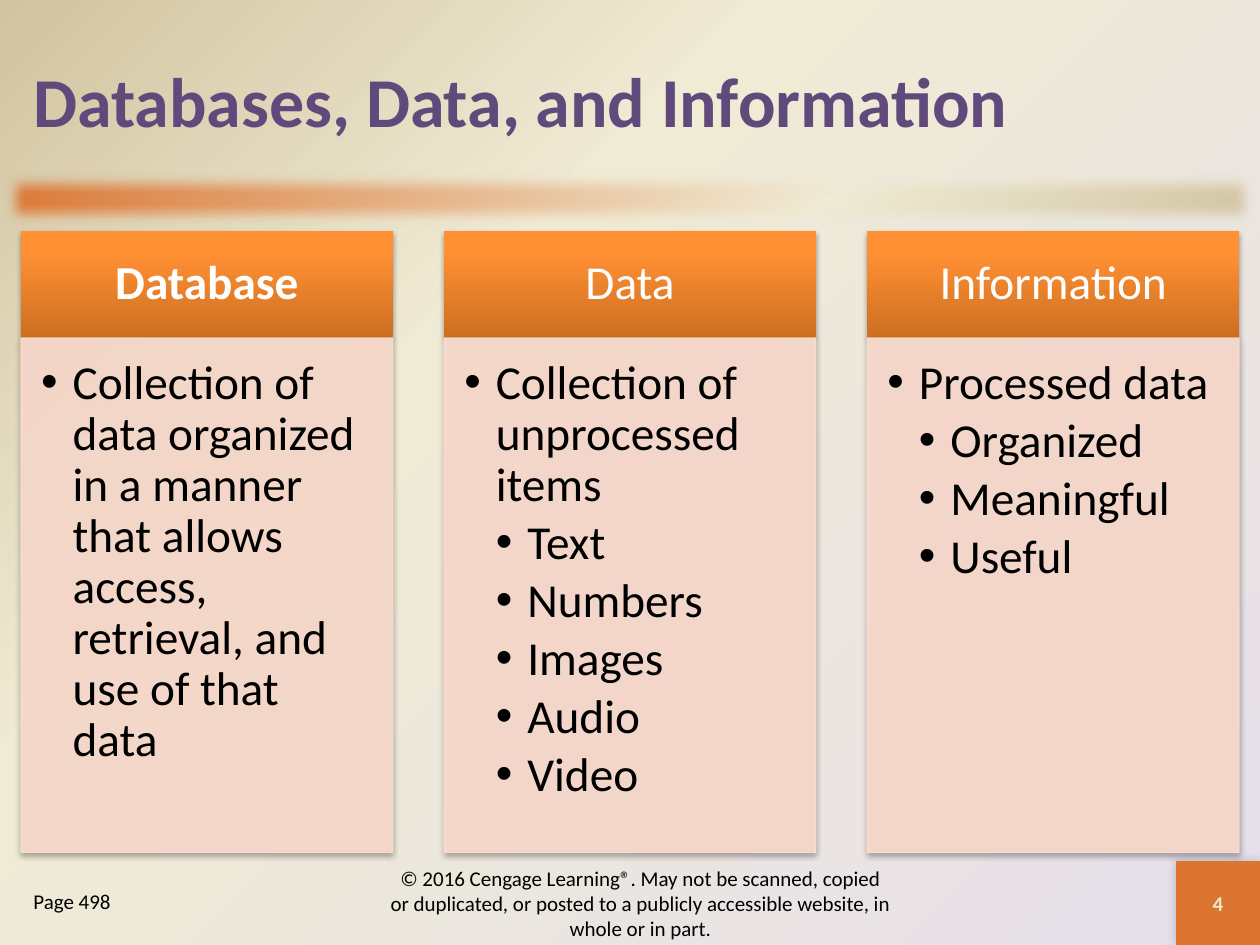
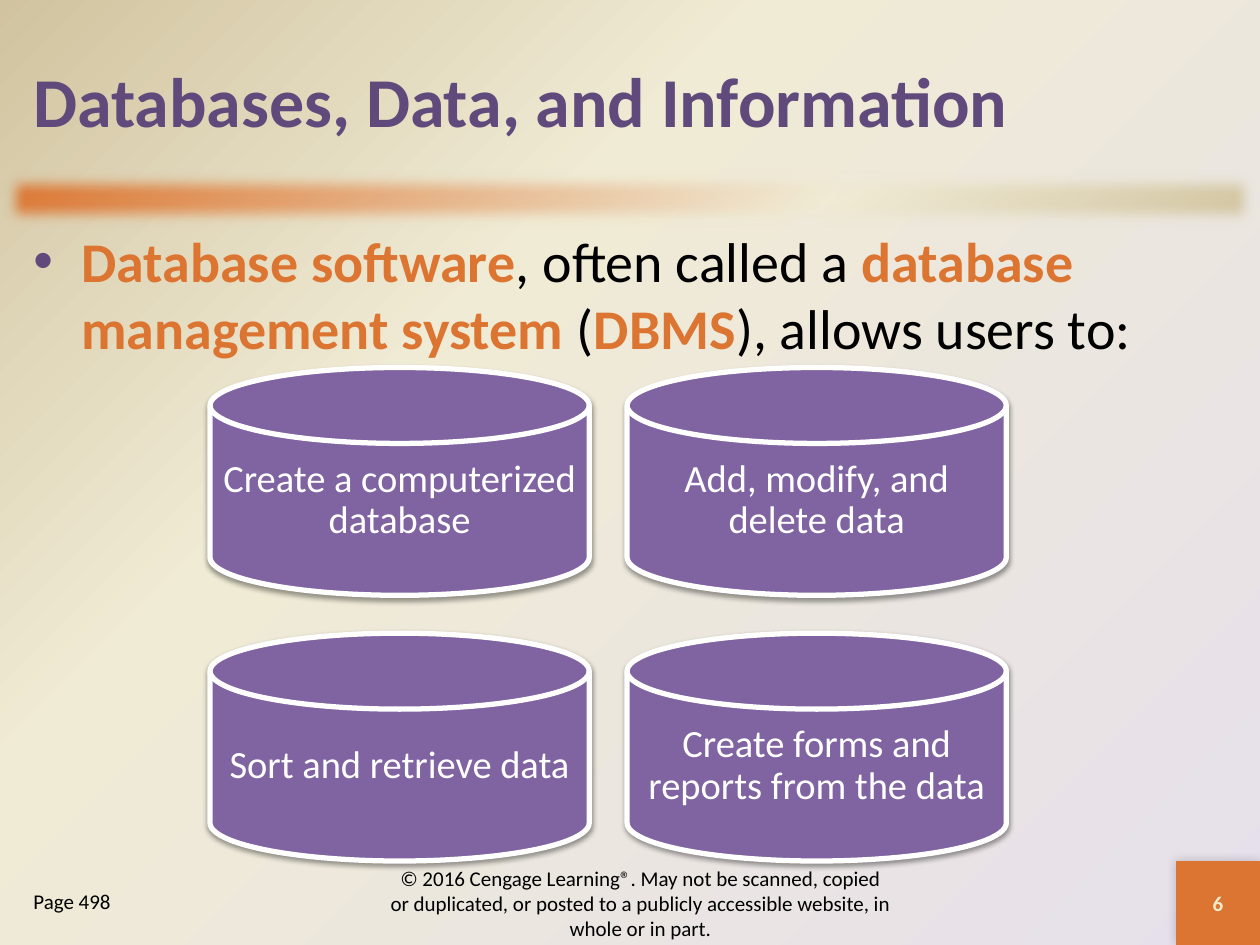
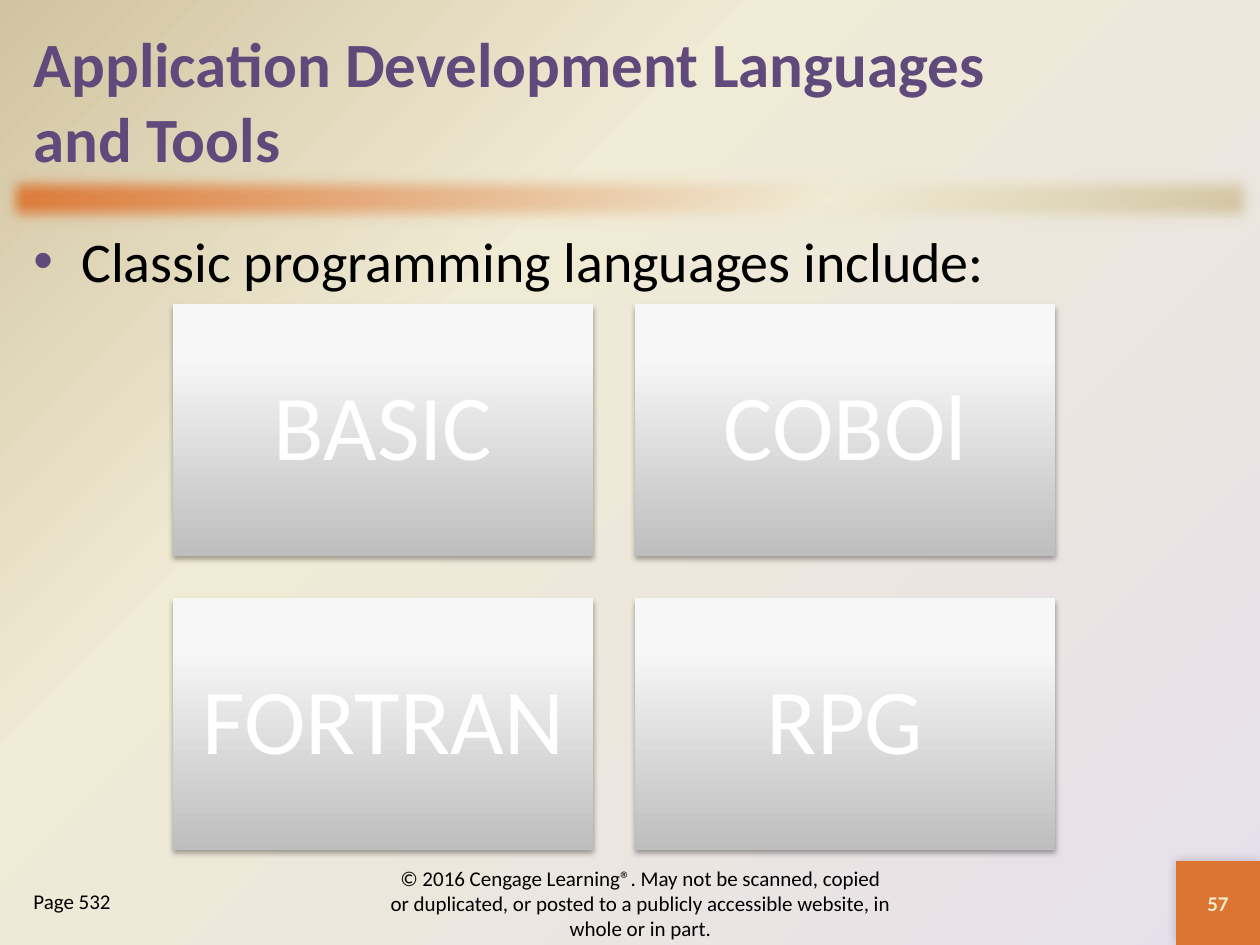
from dataclasses import dataclass

from pptx import Presentation
from pptx.dml.color import RGBColor as Rgb
from pptx.enum.shapes import MSO_SHAPE as Shape
from pptx.enum.text import MSO_ANCHOR as Anchor, PP_ALIGN as Align
from pptx.oxml import parse_xml
from pptx.oxml.ns import nsdecls, qn
from pptx.util import Emu, Inches, Pt

COLUMNS, ROWS = 60, 45


@dataclass(frozen=True)
class Theme:
    font: str = "Calibri"
    # Colours
    title: str = "604A7B"
    ink: str = "000000"
    white: str = "FFFFFF"
    accent: str = "DB7531"
    number: str = "EEEBCA"
    panel: str = "FCDDCF"
    disk: str = "8064A2"
    # Gradients: (position in percent, colour)
    backdrop: tuple = ((0, "E6E0EC"), (65, "F0EBD5"), (100, "D1C39F"))
    band: tuple = ((0, "DB7531"), (65, "F0EBD5"), (100, "D1C39F"))
    orange: tuple = ((0, "CC6E20"), (80, "FF9034"), (100, "FF9136"))
    silver: tuple = ((0, "BEBEBE"), (80, "F7F7F7"), (100, "F8F8F8"))
    # Shadows: alpha percent, blur pt, distance pt, angle
    corner_shadow: tuple = (20, 6, 0, 225)
    box_shadow: tuple = (35, 3.1, 1.8, 90)
    disk_shadow: tuple = (38, 3.1, 1.6, 90)
    # Type sizes
    title_size: int = 40
    long_title_size: int = 36
    lead_size: int = 32
    panel_size: int = 27
    disk_size: int = 22
    tile_size: int = 53
    small_size: int = 12


THEME = Theme()
COPYRIGHT = ("© 2016 Cengage Learning®. May not be scanned, copied or duplicated, "
             "or posted to a publicly accessible website, in whole or in part.")


def element(xml):
    """Build one drawing element from a tag with its attributes and children."""
    tag, rest = xml[1:].split(" ", 1)
    return parse_xml(f"<{tag} {nsdecls('a')} {rest}")


def gradient(stops, direction):
    marks = "".join(f'<a:gs pos="{pos * 1000}"><a:srgbClr val="{colour}"/></a:gs>'
                    for pos, colour in stops)
    return element(f'<a:gradFill rotWithShape="1"><a:gsLst>{marks}</a:gsLst>'
                   f'{direction}</a:gradFill>')


def use_gradient(holder, stops, direction):
    solid = holder.find(qn("a:solidFill"))
    holder.replace(solid, gradient(stops, direction))


class Deck:
    def __init__(self, theme):
        self.theme = theme
        self.prs = Presentation()
        self.prs.slide_width, self.prs.slide_height = Inches(10), Inches(7.5)
        self.slide = None

    def place(self, left, top, width, height):
        """Turn grid columns and rows into slide lengths."""
        across, down = self.prs.slide_width / COLUMNS, self.prs.slide_height / ROWS
        return [Emu(round(cells * unit)) for cells, unit in
                ((left, across), (top, down), (width, across), (height, down))]

    def new_slide(self, title, number, page, title_size=THEME.title_size):
        look = self.theme
        self.slide = self.prs.slides.add_slide(self.prs.slide_layouts[6])
        # Background
        self.slide.background.fill.solid()
        use_gradient(self.slide.element.find(".//" + qn("p:bgPr")), look.backdrop,
                     '<a:path path="circle"><a:fillToRect l="100000" t="100000"/></a:path>')
        # Soft band below the title
        band = self.block(Shape.RECTANGLE, (0, 8, 60, 3), stops=look.band, angle=45)
        self.effect(band, '<a:softEdge rad="112500"/>')
        # Slide number in the corner
        corner = self.block(Shape.RECTANGLE, (56, 41, 4, 4), look.accent,
                            shadow=look.corner_shadow)
        self.fill_text(corner, [number], look.small_size, look.number, bold=True,
                       align=Align.CENTER, anchor=Anchor.MIDDLE)
        # Title and footer
        self.text((1, 1, 58, 7.5), [title], title_size, look.title, bold=True,
                  anchor=Anchor.MIDDLE)
        self.text((18, 41.5, 25, 3), [COPYRIGHT], look.small_size, look.ink,
                  align=Align.CENTER, anchor=Anchor.MIDDLE)
        self.text((1, 42, 11, 3), [page], look.small_size, look.ink)

    def effect(self, shape, xml):
        shape.element.spPr.find(qn("a:effectLst")).append(element(xml))

    def block(self, kind, cells, colour=None, stops=None, angle=270, shadow=None,
              outline=None, outline_width=0.75, opacity=None):
        shape = self.slide.shapes.add_shape(kind, *self.place(*cells))
        shape.shadow.inherit = False
        shape.fill.solid()
        if stops:
            use_gradient(shape.element.spPr, stops,
                         f'<a:lin ang="{angle * 60000}" scaled="0"/>')
        else:
            shape.fill.fore_color.rgb = Rgb.from_string(colour)
        if outline:
            shape.line.color.rgb = Rgb.from_string(outline)
            shape.line.width = Pt(outline_width)
        else:
            shape.line.fill.background()
        if opacity:
            for tint in shape.element.spPr.iter(qn("a:srgbClr")):
                tint.append(element(f'<a:alpha val="{opacity * 1000}"/>'))
        if shadow:
            alpha, blur, distance, turn = shadow
            self.effect(shape, f'<a:outerShdw blurRad="{Pt(blur)}" dist="{Pt(distance)}" '
                               f'dir="{turn * 60000}" rotWithShape="0">'
                               f'<a:srgbClr val="{self.theme.ink}">'
                               f'<a:alpha val="{alpha * 1000}"/></a:srgbClr></a:outerShdw>')
        return shape

    def text(self, cells, lines, size, colour, **style):
        return self.fill_text(self.slide.shapes.add_textbox(*self.place(*cells)),
                              lines, size, colour, **style)

    def fill_text(self, shape, lines, size, colour, bold=False, align=Align.LEFT,
                  anchor=Anchor.TOP, insets=(0.1, 0.05, 0.1, 0.05), spacing=None):
        frame = shape.text_frame
        frame.word_wrap = True
        frame.vertical_anchor = anchor
        (frame.margin_left, frame.margin_top,
         frame.margin_right, frame.margin_bottom) = map(Inches, insets)
        frame.text = "\n".join(lines)
        for paragraph in frame.paragraphs:
            paragraph.alignment = align
            if spacing:
                paragraph.line_spacing = spacing
            for run in paragraph.runs:
                self.style(run, size, colour, bold)
        return frame

    def style(self, run, size, colour, bold=False):
        run.font.name, run.font.size, run.font.bold = self.theme.font, Pt(size), bold
        run.font.color.rgb = Rgb.from_string(colour)

    def bullet(self, paragraph, margin, hang, colour):
        props = paragraph._p.get_or_add_pPr()
        props.set("marL", str(Inches(margin)))
        props.set("indent", str(-Inches(hang)))
        for xml in (f'<a:buClr ><a:srgbClr val="{colour}"/></a:buClr>',
                    '<a:buFont typeface="Arial"/>', '<a:buChar char="•"/>'):
            props.append(element(xml))

    def lead(self, *parts):
        """One large bullet; in a mixed line every other part is a highlighted term."""
        look = self.theme
        frame = self.text((1, 10.5, 58, 30.5), [""], look.lead_size, look.ink)
        paragraph = frame.paragraphs[0]
        self.bullet(paragraph, 0.38, 0.38, look.title)
        for index, part in enumerate(parts):
            run = paragraph.add_run()
            run.text = part
            term = len(parts) > 1 and index % 2 == 0
            self.style(run, look.lead_size, look.accent if term else look.ink, term)

    def column(self, left, heading, lead, items, bold):
        """A headed panel with one bullet and its sub-items."""
        look, width = self.theme, 17.7
        header = self.block(Shape.RECTANGLE, (left, 11, width, 5.1), stops=look.orange,
                            shadow=look.box_shadow)
        self.fill_text(header, [heading], look.panel_size, look.white, bold=bold,
                       align=Align.CENTER, anchor=Anchor.MIDDLE,
                       insets=(0.21, 0.12, 0.21, 0.12), spacing=0.9)
        panel = self.block(Shape.RECTANGLE, (left, 16.1, width, 24.5), look.panel,
                           shadow=look.box_shadow, outline=look.panel, opacity=90)
        frame = self.fill_text(panel, [lead, *items], look.panel_size, look.ink,
                               insets=(0.16, 0.16, 0.21, 0.24), spacing=0.9)
        for index, paragraph in enumerate(frame.paragraphs):
            paragraph.level = 1 if index else 0
            paragraph.space_after = Pt(4)
            self.bullet(paragraph, 0.5 if index else 0.25, 0.25, look.ink)

    def pairs(self, labels, kind, origin, cell, gap, size, inset, **look):
        """Labelled shapes in a grid two across."""
        for index, label in enumerate(labels):
            row, col = divmod(index, 2)
            spot = (origin[0] + col * (cell[0] + gap), origin[1] + row * (cell[1] + gap))
            shape = self.block(kind, (*spot, *cell), **look)
            self.fill_text(shape, [label], size, self.theme.white, align=Align.CENTER,
                           anchor=Anchor.MIDDLE, insets=(inset,) * 4, spacing=0.9)


def main():
    deck = Deck(THEME)

    # Three terms side by side
    deck.new_slide("Databases, Data, and Information", "4", "Page 498")
    terms = [
        ("Database", "Collection of data organized in a manner that allows access, "
                     "retrieval, and use of that data", []),
        ("Data", "Collection of unprocessed items",
         ["Text", "Numbers", "Images", "Audio", "Video"]),
        ("Information", "Processed data", ["Organized", "Meaningful", "Useful"]),
    ]
    for index, (heading, lead, items) in enumerate(terms):
        deck.column(1 + index * 20.15, heading, lead, items, bold=index == 0)

    # What database software does
    deck.new_slide("Databases, Data, and Information", "6", "Page 498")
    deck.lead("Database software", ", often called a ", "database management system ",
              "(", "DBMS", "), allows users to:")
    deck.pairs(["Create a computerized database", "Add, modify, and delete data",
                "Sort and retrieve data", "Create forms and reports from the data"],
               Shape.FLOWCHART_MAGNETIC_DISK, (10, 17.5), (18.06, 10.85), 1.8,
               THEME.disk_size, 0.09, colour=THEME.disk, outline=THEME.white,
               outline_width=3, shadow=THEME.disk_shadow)

    # Classic languages
    deck.new_slide("Application Development Languages\vand Tools", "57", "Page 532",
                   THEME.long_title_size)
    deck.lead("Classic programming languages include:")
    deck.pairs(["BASIC", "COBOl", "FORTRAN", "RPG"], Shape.RECTANGLE,
               (8.25, 14.5), (20, 12), 2, THEME.tile_size, 0.22,
               stops=THEME.silver, shadow=THEME.box_shadow)

    deck.prs.save("out.pptx")


if __name__ == "__main__":
    main()
